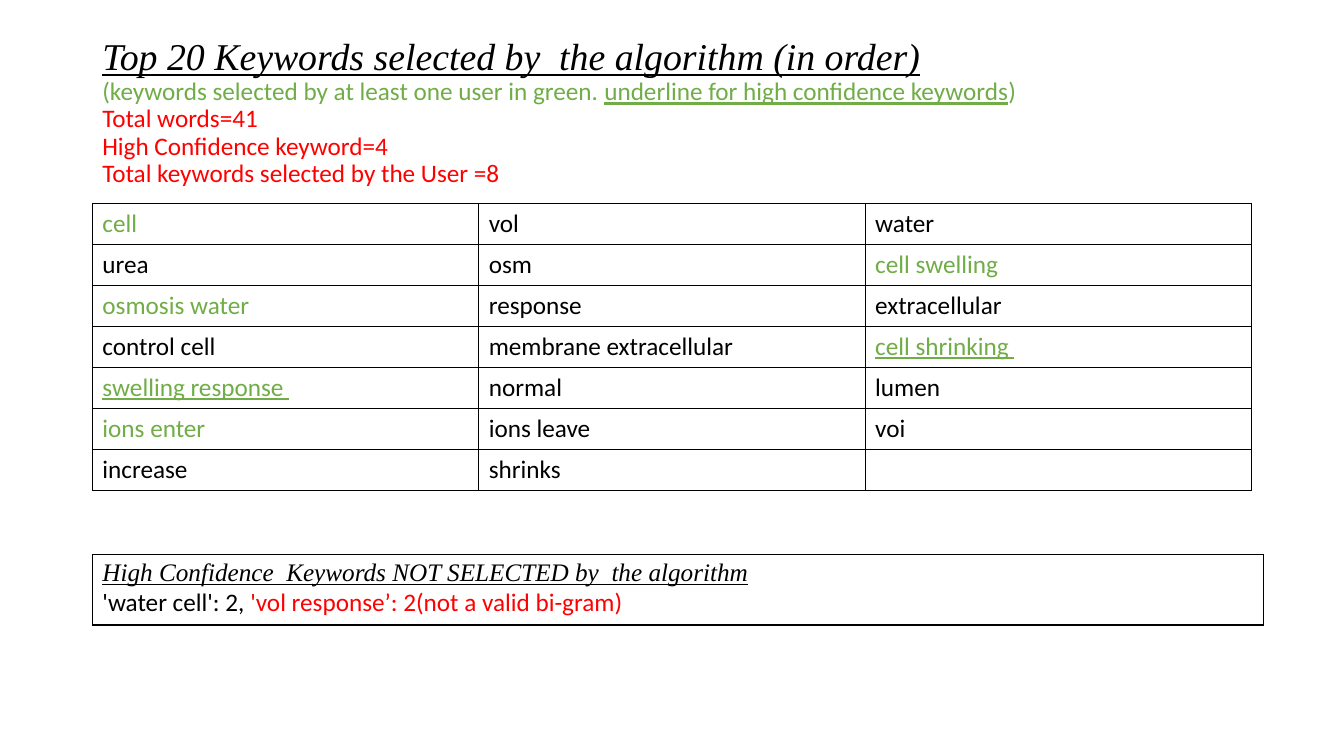
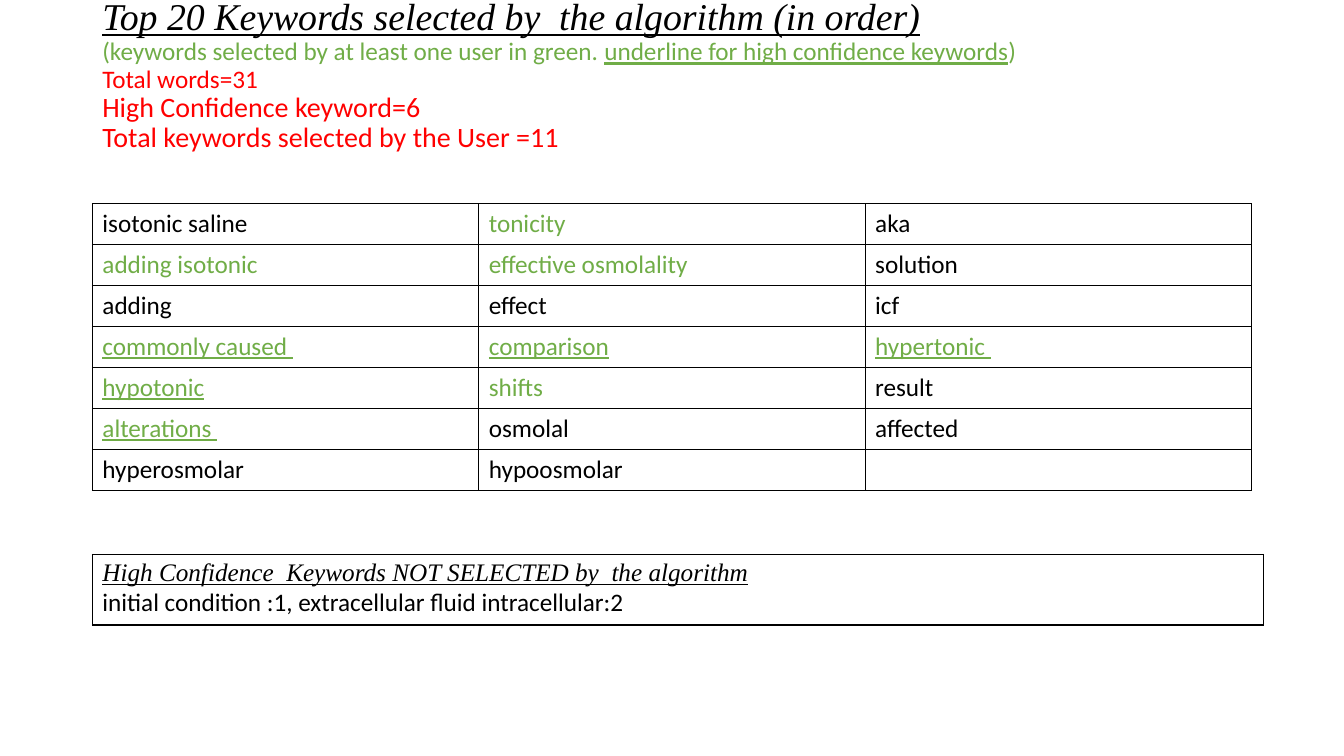
from dataclasses import dataclass
from typing import Sequence

import lxml.etree
import pptx
import pptx.dml.color
import pptx.enum.text
import pptx.oxml
import pptx.oxml.ns
import pptx.util

EMU_PER_PX = 9525


@dataclass(frozen=True)
class Theme:
    black: str = "000000"
    green: str = "70AD47"
    red: str = "FF0000"
    heading_font: str = "Times New Roman"
    body_font: str = "Calibri"
    heading_size: int = 27
    large_size: int = 20
    body_size: int = 18
    border_pt: int = 1


THEME = Theme()


@dataclass(frozen=True)
class Span:
    text: str
    color: str = THEME.black
    underline: bool = False
    size: int = THEME.body_size
    font: str = THEME.body_font
    italic: bool = False


Line = Sequence[Span]


@dataclass(frozen=True)
class KeywordSlide:
    heading_top: int
    totals: Sequence[Span]
    keywords: Sequence[Sequence[Span]]
    missed: Line


def picked(text: str) -> Span:
    return Span(text, THEME.green)


def confident(text: str) -> Span:
    return Span(text, THEME.green, underline=True)


def total(text: str, size: int = THEME.body_size) -> Span:
    return Span(text, THEME.red, size=size)


def heading(text: str, size: int) -> Span:
    return Span(text, underline=True, size=size, font=THEME.heading_font, italic=True)


def px(length: int) -> pptx.util.Emu:
    return pptx.util.Emu(length * EMU_PER_PX)


def add_spans(paragraph, spans: Line) -> None:
    for span in spans:
        run = paragraph.add_run()
        run.text = span.text
        run.font.name = span.font
        run.font.size = pptx.util.Pt(span.size)
        run.font.italic = span.italic
        run.font.underline = span.underline
        run.font.color.rgb = pptx.dml.color.RGBColor.from_string(span.color)


def add_borders(cell) -> None:
    properties = cell._tc.get_or_add_tcPr()
    for position, side in enumerate(("lnL", "lnR", "lnT", "lnB")):
        border = pptx.oxml.parse_xml(
            f'<a:{side} {pptx.oxml.ns.nsdecls("a")} w="{pptx.util.Pt(THEME.border_pt)}">'
            f'<a:solidFill><a:srgbClr val="{THEME.black}"/></a:solidFill></a:{side}>'
        )
        properties.insert(position, border)


def add_grid(slide, top: int, column_width: int, row_height: int,
             rows: Sequence[Sequence[Sequence[Line]]]) -> None:
    columns = len(rows[0])
    grid = slide.shapes.add_table(
        len(rows), columns, px(LEFT), px(top),
        px(column_width * columns), px(row_height * len(rows)),
    ).table
    grid.first_row = False
    grid.horz_banding = False
    for row_index, row in enumerate(rows):
        for column_index, lines in enumerate(row):
            cell = grid.cell(row_index, column_index)
            cell.fill.background()
            add_borders(cell)
            for line_index, line in enumerate(lines):
                frame = cell.text_frame
                paragraph = frame.add_paragraph() if line_index else frame.paragraphs[0]
                add_spans(paragraph, line)


def add_heading(slide, top: int, lines: Sequence[Line]) -> None:
    frame = slide.shapes.add_textbox(px(LEFT), px(top), px(1104), px(139)).text_frame
    frame.word_wrap = True
    frame.vertical_anchor = pptx.enum.text.MSO_ANCHOR.MIDDLE
    paragraph = frame.paragraphs[0]
    paragraph.line_spacing = 0.9
    for index, line in enumerate(lines):
        if index:
            paragraph.add_line_break()
        add_spans(paragraph, line)


LEFT = 88
HEADING = (
    [heading("Top 20 Keywords selected by  the algorithm (in order)", THEME.heading_size)],
    [
        picked("(keywords selected by at least one user in green. "),
        confident("underline for high confidence keywords"),
        picked(")"),
    ],
)
MISSED_HEADING = [
    heading("High Confidence  Keywords NOT SELECTED by  the algorithm", THEME.body_size)
]

KEYWORD_SLIDES = (
    KeywordSlide(
        heading_top=38,
        totals=(
            total("Total words=41"),
            total("High Confidence keyword=4"),
            total("Total keywords selected by the User =8"),
        ),
        keywords=(
            (picked("cell"), Span("vol"), Span("water")),
            (Span("urea"), Span("osm"), picked("cell swelling")),
            (picked("osmosis water"), Span("response"), Span("extracellular")),
            (Span("control cell"), Span("membrane extracellular"), confident("cell shrinking ")),
            (confident("swelling response "), Span("normal"), Span("lumen")),
            (picked("ions enter"), Span("ions leave"), Span("voi")),
            (Span("increase"), Span("shrinks"), Span("")),
        ),
        missed=(
            Span("'water cell': 2, "),
            Span("'vol response’: 2(not a valid bi-gram)", THEME.red),
        ),
    ),
    KeywordSlide(
        heading_top=3,
        totals=(
            total("Total words=31"),
            total("High Confidence keyword=6", THEME.large_size),
            total("Total keywords selected by the User =11", THEME.large_size),
        ),
        keywords=(
            (Span("isotonic saline"), picked("tonicity"), Span("aka")),
            (picked("adding isotonic"), picked("effective osmolality"), Span("solution")),
            (Span("adding"), Span("effect"), Span("icf")),
            (confident("commonly caused "), confident("comparison"), confident("hypertonic ")),
            (confident("hypotonic"), picked("shifts"), Span("result")),
            (confident("alterations "), Span("osmolal"), Span("affected")),
            (Span("hyperosmolar"), Span("hypoosmolar"), Span("")),
        ),
        missed=(Span("initial condition :1, extracellular fluid intracellular:2"),),
    ),
)


def add_keyword_slide(deck, content: KeywordSlide) -> None:
    slide = deck.slides.add_slide(deck.slide_layouts[6])
    totals = [[span] for span in content.totals]
    add_heading(slide, content.heading_top, [*HEADING, *totals])
    keywords = [
        [[[span]] if span.text else [] for span in row] for row in content.keywords
    ]
    add_grid(slide, 194, 368, 39, keywords)
    add_grid(slide, 528, 1115, 67, [[[MISSED_HEADING, content.missed]]])


def main() -> None:
    deck = pptx.Presentation()
    deck.slide_width = px(1280)
    deck.slide_height = px(720)
    for content in KEYWORD_SLIDES:
        add_keyword_slide(deck, content)
    deck.save("out.pptx")


if __name__ == "__main__":
    main()
